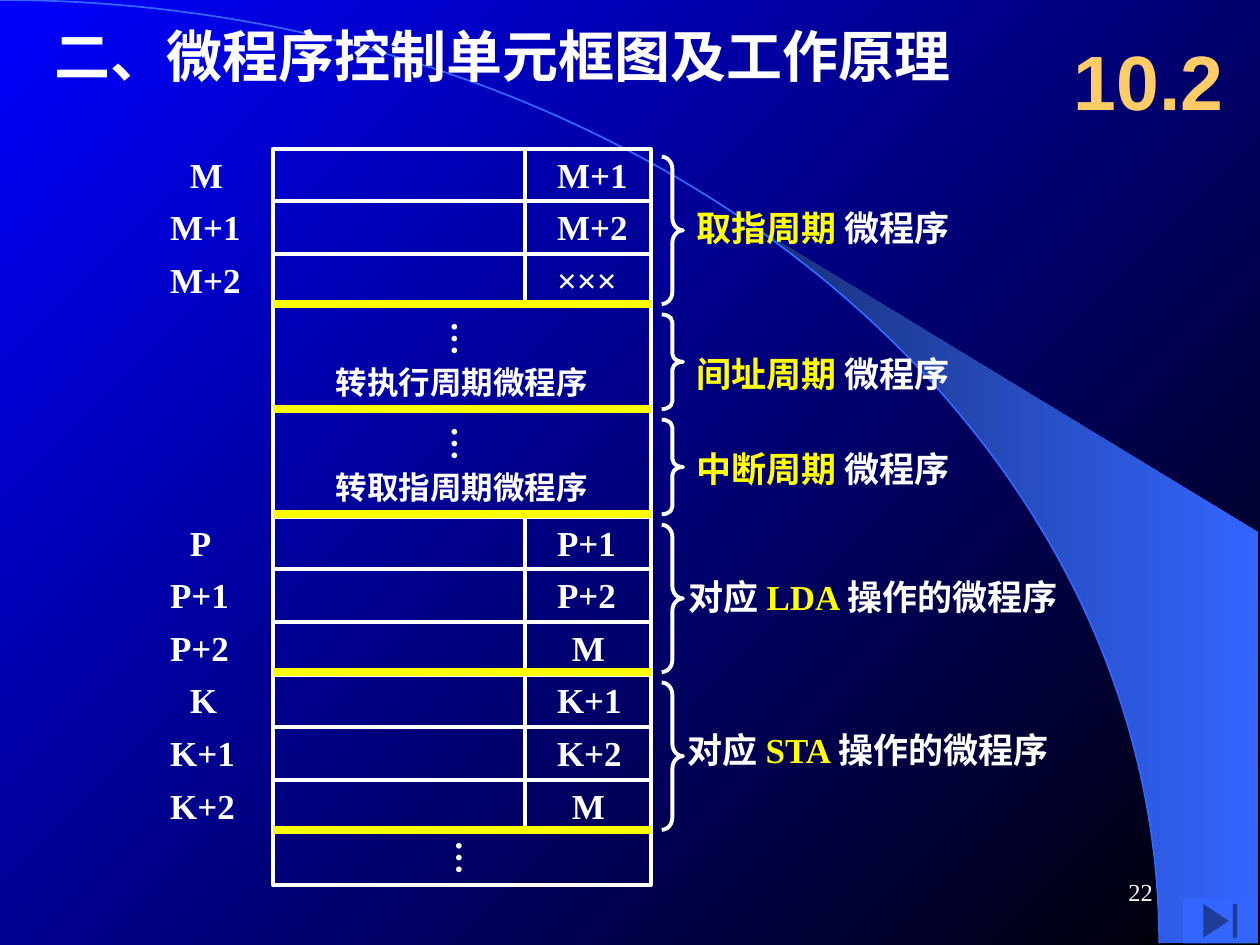
from math import cos, radians, sin

from lxml.etree import SubElement
from pptx import Presentation
from pptx.dml.color import RGBColor
from pptx.enum.shapes import MSO_CONNECTOR, MSO_SHAPE
from pptx.enum.text import MSO_ANCHOR, PP_ALIGN
from pptx.oxml.ns import qn
from pptx.util import Cm, Pt

COLORS = {"white": "FFFFFF", "yellow": "FFFF00", "gold": "FFCC66", "sky": "3366FF",
          "navy": "182F76", "blue": "0000FF", "black": "000000"}
SERIF = "Times New Roman"

TITLE = "二、微程序控制单元框图及工作原理"
WORDS = [
    (0, "M", "M+1"), (1, "M+1", "M+2"), (2, "M+2", "×××"),
    (7, "P", "P+1"), (8, "P+1", "P+2"), (9, "P+2", "M"),
    (10, "K", "K+1"), (11, "K+1", "K+2"), (12, "K+2", "M"),
]
JUMPS = [(3, "转执行周期微程序"), (5, "转取指周期微程序")]
ELLIPSES = [(8.6, 6.23), (8.6, 8.34), (8.69, 16.69)]
SECTIONS = [
    (0, 3, 13.79, 4.04, [("取指周期 ", "yellow"), ("微程序", "white")]),
    (3, 2, 13.79, 6.99, [("间址周期 ", "yellow"), ("微程序", "white")]),
    (5, 2, 13.79, 8.89, [("中断周期 ", "yellow"), ("微程序", "white")]),
    (7, 3, 13.63, 11.48, [("对应 ", "white"), ("LDA ", "yellow"), ("操作的微程序", "white")]),
    (10, 3, 13.61, 14.57, [("对应 ", "white"), ("STA ", "yellow"), ("操作的微程序", "white")]),
]

LEFT, SPLIT, RIGHT = 5.5, 10.59, 13.12
TOP, ROW = 3.0, 1.06
WORD_W, NOTE_W = 2.15, 9.2
ARC_W, ARC_H = 23.37, 19.02


def rgb(name):
    return RGBColor.from_string(COLORS[name])


def row_y(row):
    return TOP + row * ROW


def gradient(fill, angle, *names):
    fill.gradient()
    fill.gradient_angle = angle
    for stop, name in zip(fill.gradient_stops, names):
        stop.color.rgb = rgb(name)


def arc(start):
    return [(Cm(ARC_W * sin(radians(a))), Cm(ARC_H * (1 - cos(radians(a)))))
            for a in range(start, 91)]


def outline(points, close):
    builder = s.shapes.build_freeform(*points[0])
    builder.add_line_segments(points[1:], close=close)
    sp = builder.convert_to_shape()
    sp.shadow.inherit = False
    return sp


def stroke(sp, color="white", width=2.25):
    sp.line.color.rgb = rgb(color)
    sp.line.width = Pt(width)


def preset(kind, x, y, w, h):
    sp = s.shapes.add_shape(kind, Cm(x), Cm(y), Cm(w), Cm(h))
    sp.shadow.inherit = False
    sp.fill.background()
    stroke(sp)
    return sp


def line(x1, y1, x2, y2, color="white", width=2.25):
    sp = s.shapes.add_connector(MSO_CONNECTOR.STRAIGHT, Cm(x1), Cm(y1), Cm(x2), Cm(y2))
    stroke(sp, color, width)
    SubElement(sp._element.spPr, qn("a:effectLst"))


def write(tf, runs, size=20, font=SERIF, bold=True, align=PP_ALIGN.LEFT):
    p = tf.paragraphs[0]
    p.alignment = align
    for text, color in runs:
        r = p.add_run()
        r.text = text
        r.font.size = Pt(size)
        r.font.name = font
        r.font.bold = bold
        r.font.color.rgb = rgb(color)


def textbox(x, y, w, h, runs, anchor=MSO_ANCHOR.TOP, **style):
    sp = s.shapes.add_textbox(Cm(x), Cm(y), Cm(w), Cm(h))
    tf = sp.text_frame
    tf.word_wrap = True
    tf.vertical_anchor = anchor
    write(tf, runs, **style)
    return tf


def word(text, row, x, indent):
    shift = indent if len(text) == 1 else 0
    textbox(x + shift, row_y(row) - 0.04, WORD_W, 1.12, [(text, "white")])


prs = Presentation()
prs.slide_width, prs.slide_height = Cm(25.4), Cm(19.05)
s = prs.slides.add_slide(prs.slide_layouts[5])
gradient(s.background.fill, 315, "blue", "black")

wedge = outline(arc(40) + [(Cm(25.37), Cm(19.02)), (Cm(25.37), Cm(10.74))], True)
gradient(wedge.fill, 0, "navy", "sky")
wedge.line.fill.background()
curve = outline(arc(0), False)
curve.fill.background()
stroke(curve, "sky", 1)

title = s.shapes.title
s.shapes._spTree.append(title._element)
title.left, title.top, title.width, title.height = Cm(0.84), Cm(0.3), Cm(20.32), Cm(1.63)
title.text_frame.vertical_anchor = MSO_ANCHOR.TOP
write(title.text_frame, [(TITLE, "white")], size=32)

for row in [r for r, _, _ in WORDS] + [13]:
    preset(MSO_SHAPE.RECTANGLE, LEFT, row_y(row), RIGHT - LEFT, ROW)
for x, first, last in [(LEFT, 3, 7), (RIGHT, 3, 7), (SPLIT, 0, 3), (SPLIT, 7, 13)]:
    line(x, row_y(first), x, row_y(last))
for first, rows, x, y, runs in SECTIONS:
    end = row_y(first + rows) - 0.05
    line(LEFT, end, RIGHT, end, "yellow", 4.5)
    height = rows * ROW - 0.21
    brace = preset(MSO_SHAPE.RIGHT_BRACE, 13.34, row_y(first) + 0.16, 0.43, height)
    brace.adjustments[0] = height / 12 / 0.43
    textbox(x, y, NOTE_W, 1.12, runs)

for row, address, following in WORDS:
    word(address, row, 3.18, 0.4)
    word(following, row, 10.98, 0.3)
for row, text in JUMPS:
    textbox(LEFT, row_y(row + 1) - 0.04, RIGHT - LEFT, 1.02, [(text, "white")],
            size=18, align=PP_ALIGN.CENTER)
for x, y in ELLIPSES:
    tf = textbox(x, y, 1.35, 0.97, [("…", "white")])
    tf.margin_left = tf.margin_right = Cm(0.13)
    tf.margin_top = tf.margin_bottom = Cm(0.25)
    tf.word_wrap = False
    tf._txBody.bodyPr.set("vert", "eaVert")

textbox(21.39, 0.43, 4.01, 2.34, [("10.2", "gold")],
        anchor=MSO_ANCHOR.MIDDLE, size=44, font="Arial")
button = preset(MSO_SHAPE.ACTION_BUTTON_END, 23.85, 18.11, 1.5, 0.91)
button.fill.solid()
button.fill.fore_color.rgb = rgb("sky")
button.line.fill.background()
textbox(18.21, 17.35, 5.28, 1.27, [("22", "white")],
        anchor=MSO_ANCHOR.MIDDLE, size=14, bold=False, align=PP_ALIGN.RIGHT)

prs.save("out.pptx")
